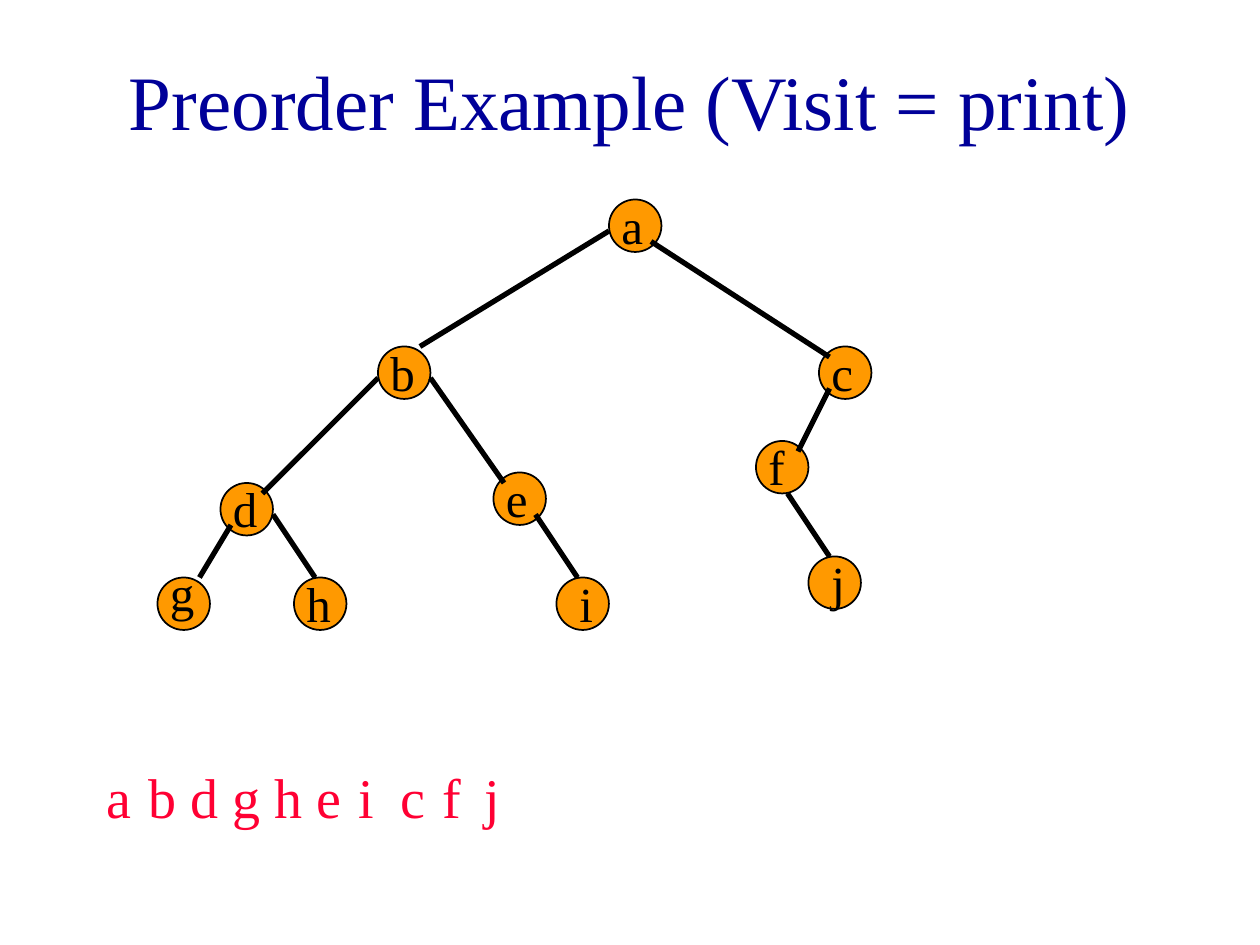
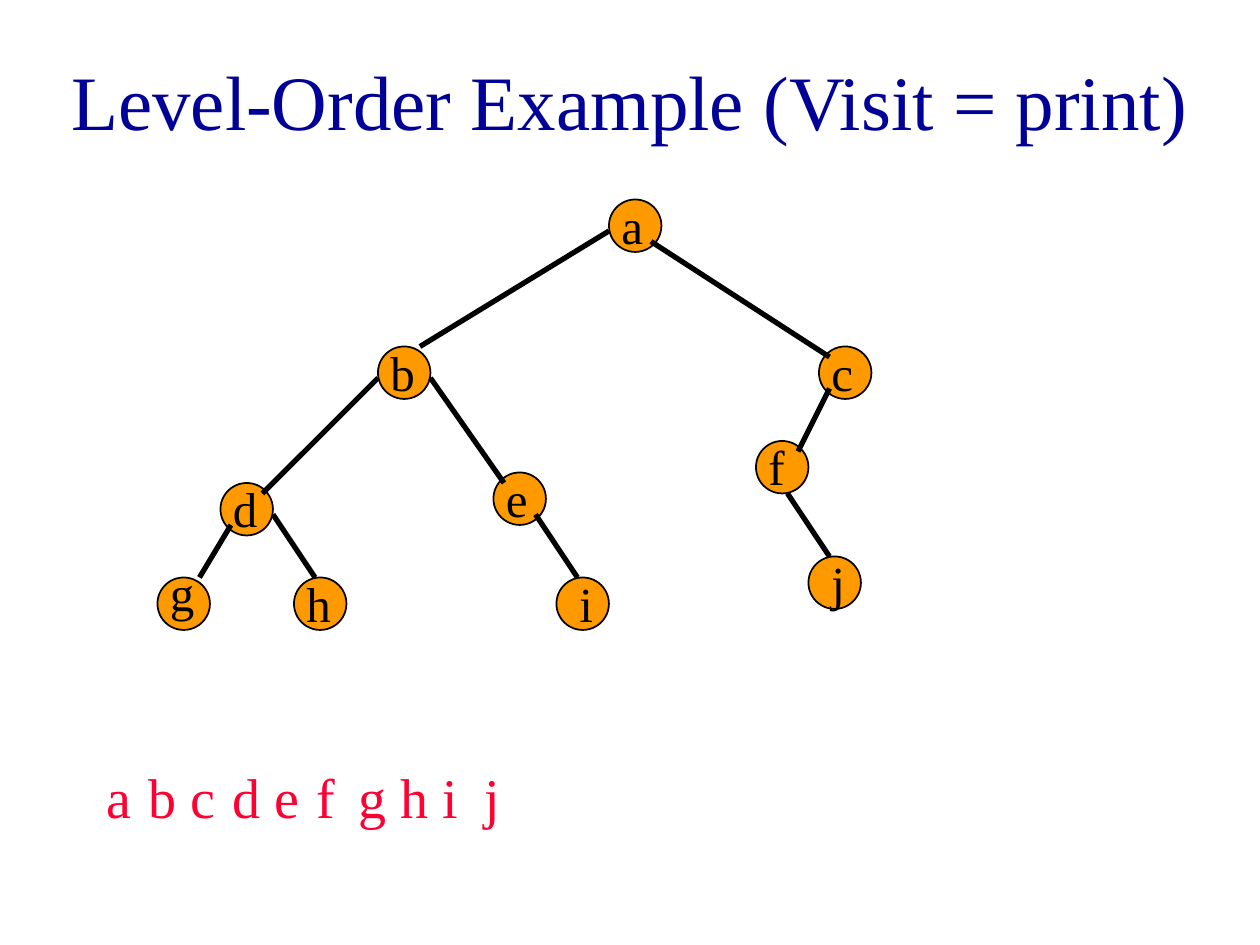
from pptx import Presentation
from pptx.dml.color import RGBColor
from pptx.enum.shapes import MSO_CONNECTOR, MSO_SHAPE
from pptx.enum.text import MSO_ANCHOR, MSO_AUTO_SIZE, PP_ALIGN
from pptx.oxml.ns import qn
from pptx.util import Pt
from lxml.etree import SubElement

PX = 7620  # 120 px to the inch
FONT = "Times New Roman"
NAVY, ORANGE, BLACK, RED = "000099", "FF9900", "000000", "FF0033"

# title, title box, letters in the order they are visited
SLIDES = [
    ("Preorder Example (Visit = print)", (90, 20, 1020, 150), "abdgheicfj"),
    ("Level-Order Example (Visit = print)", (40, 20, 1120, 150), "abcdefghij"),
]

# left and top of each node
NODES = {
    "a": (580, 190), "b": (360, 330), "c": (780, 330), "d": (210, 460),
    "e": (470, 450), "f": (720, 420), "g": (150, 550), "h": (280, 550),
    "i": (530, 550), "j": (770, 530),
}
NODE_SIZE = 50
LABEL_SIZE = (100, 68)
LABEL_SHIFT = {"g": (0, -20), "i": (10, -10), "j": (10, -10)}
DEFAULT_SHIFT = (0, -10)

# parent, child, then where the edge meets each, from that node's left top
EDGES = [
    ("a", "b", (0, 30), (40, 0)), ("a", "c", (40, 40), (10, 10)),
    ("b", "d", (0, 30), (40, 10)), ("b", "e", (50, 30), (10, 10)),
    ("c", "f", (10, 40), (40, 10)), ("d", "g", (10, 40), (40, 0)),
    ("d", "h", (50, 30), (20, 0)), ("e", "i", (40, 40), (20, 0)),
    ("f", "j", (30, 50), (20, 0)),
]

VISIT_LEFT, VISIT_TOP, VISIT_STEP = 90, 720, 40
VISIT_SIZE = (50, 77)


def rgb(color):
    return RGBColor.from_string(color)


def emu(*lengths):
    return [n * PX for n in lengths]


def shift(point, offset):
    return point[0] + offset[0], point[1] + offset[1]


def add_text(shapes, text, box, size, color):
    tf = shapes.add_textbox(*emu(*box)).text_frame
    tf.word_wrap = True
    p = tf.paragraphs[0]
    p.text = text
    font = p.runs[0].font
    font.name, font.size = FONT, Pt(size)
    font.color.rgb = rgb(color)
    return tf


def add_title(s, text, box):
    tf = add_text(s.shapes, text, box, 44, NAVY)
    tf.vertical_anchor = MSO_ANCHOR.MIDDLE
    tf.paragraphs[0].alignment = PP_ALIGN.CENTER


def add_letter(shapes, letter, box, size, color, space):
    tf = add_text(shapes, letter, box, size, color)
    tf.auto_size = MSO_AUTO_SIZE.SHAPE_TO_FIT_TEXT
    tf.paragraphs[0].space_before = Pt(space)


def add_node(shapes, corner):
    sp = shapes.add_shape(MSO_SHAPE.OVAL, *emu(*corner, NODE_SIZE, NODE_SIZE))
    sp.shadow.inherit = False
    sp.fill.solid()
    sp.fill.fore_color.rgb = rgb(ORANGE)
    sp.line.color.rgb = rgb(BLACK)
    sp.line.width = Pt(1)


def add_edge(shapes, start, end):
    line = shapes.add_connector(MSO_CONNECTOR.STRAIGHT, *emu(*start, *end))
    line.line.color.rgb = rgb(BLACK)
    line.line.width = Pt(3)
    SubElement(line._element.spPr, qn("a:effectLst"))


def add_tree(s):
    shapes = s.shapes.add_group_shape().shapes
    for corner in NODES.values():
        add_node(shapes, corner)
    for parent, child, out, into in EDGES:
        add_edge(shapes, shift(NODES[parent], out), shift(NODES[child], into))
    for letter, corner in NODES.items():
        place = shift(corner, LABEL_SHIFT.get(letter, DEFAULT_SHIFT))
        add_letter(shapes, letter, (*place, *LABEL_SIZE), 28, BLACK, 17.5)


def add_visits(s, letters):
    for i, letter in enumerate(letters):
        box = (VISIT_LEFT + i * VISIT_STEP, VISIT_TOP, *VISIT_SIZE)
        add_letter(s.shapes, letter, box, 32, RED, 20)


def main():
    prs = Presentation()
    prs.slide_width, prs.slide_height = emu(1200, 900)
    for title, box, letters in SLIDES:
        s = prs.slides.add_slide(prs.slide_layouts[6])
        add_title(s, title, box)
        add_tree(s)
        add_visits(s, letters)
    prs.save("out.pptx")


if __name__ == "__main__":
    main()
